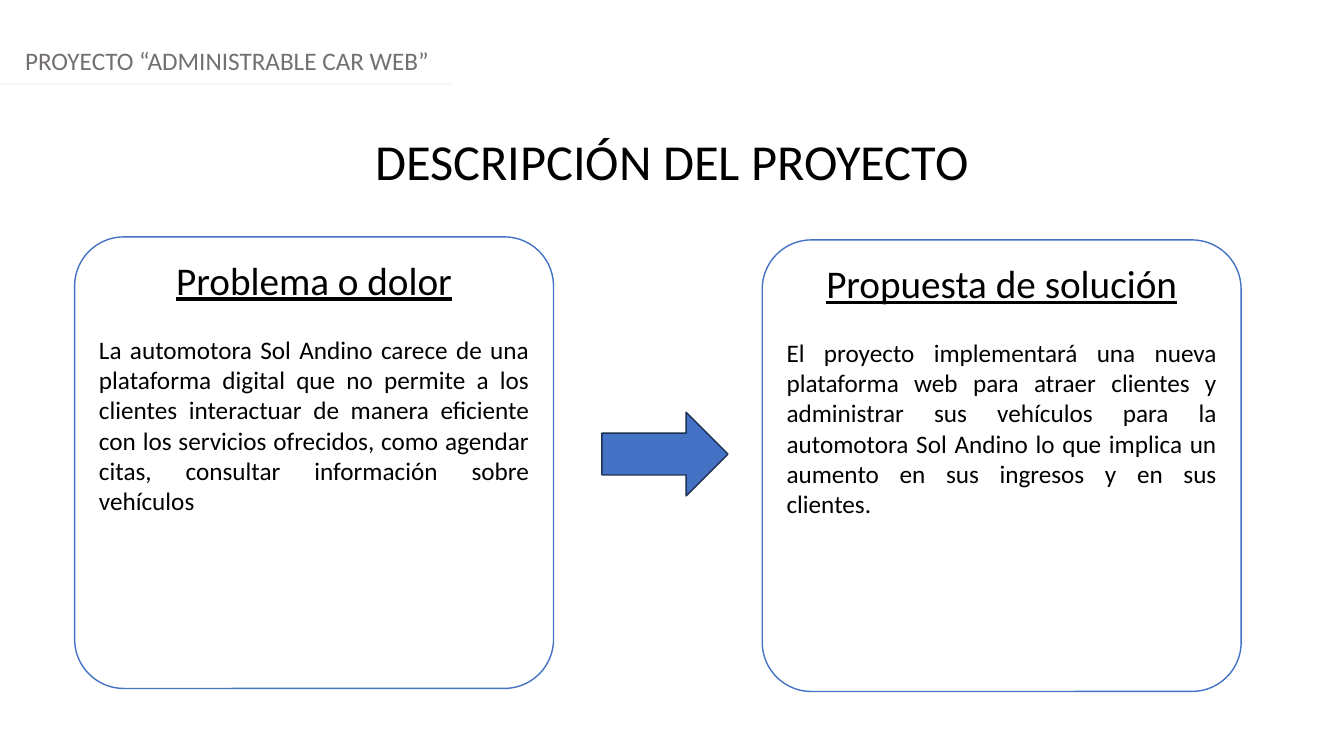
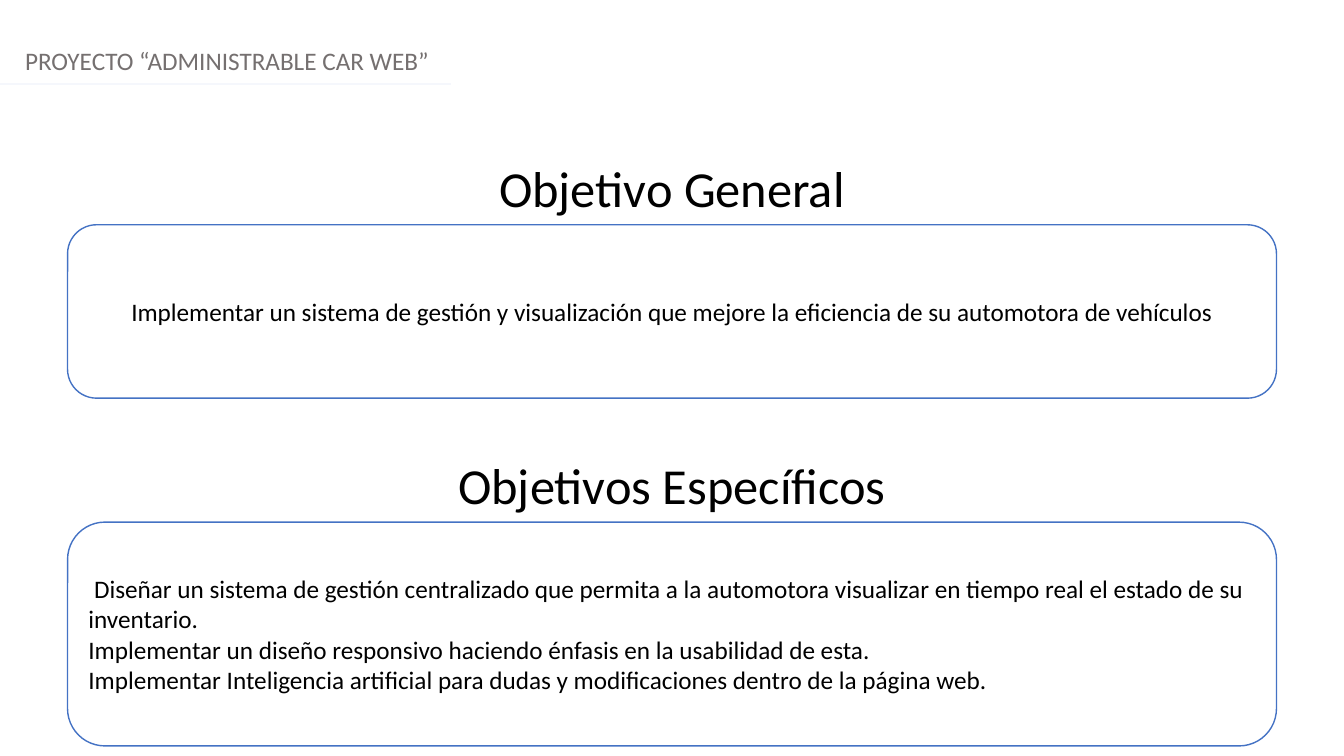
"""Build two project slides: description and objectives."""
from lxml import etree
from pptx import Presentation
from pptx.dml.color import RGBColor
from pptx.enum.shapes import MSO_CONNECTOR, MSO_SHAPE
from pptx.enum.text import MSO_ANCHOR, PP_ALIGN
from pptx.oxml.ns import qn
from pptx.util import Inches, Pt

LEFT, CENTER, JUSTIFY = PP_ALIGN.LEFT, PP_ALIGN.CENTER, PP_ALIGN.JUSTIFY
TOP, MIDDLE = MSO_ANCHOR.TOP, MSO_ANCHOR.MIDDLE
ROUNDED, ARROW = MSO_SHAPE.ROUNDED_RECTANGLE, MSO_SHAPE.RIGHT_ARROW
STRAIGHT = MSO_CONNECTOR.STRAIGHT

THEME = {
    "white": RGBColor.from_string("FFFFFF"),
    "black": RGBColor.from_string("000000"),
    "gray": RGBColor.from_string("757070"),
    "rule": RGBColor.from_string("F5F7FC"),
    "blue": RGBColor.from_string("4472C4"),
    "navy": RGBColor.from_string("1C3052"),
    "header": {"name": "Calibri", "size": Pt(18)},
    "title": {"name": "Calibri", "size": Pt(36)},
    "heading": {"name": "Calibri", "size": Pt(28), "underline": True},
    "body": {"name": "Calibri", "size": Pt(18)},
}

SLIDE_W = 13.33
CARD_W, CARD_H = 4.75, 4.48
PANEL_X, PANEL_W = 0.67, 11.99

SLIDES = [
    {
        "titles": [(1.24, "DESCRIPCIÓN DEL PROYECTO")],
        "boxes": [
            (0.74, 2.35, CARD_W, CARD_H, 0.109, TOP, [
                ("Problema o dolor", "heading", CENTER, 0),
                ("La automotora Sol Andino carece de una plataforma digital que no "
                 "permite a los clientes interactuar de manera eficiente con los "
                 "servicios ofrecidos, como agendar citas, consultar información "
                 "sobre vehículos", "body", JUSTIFY, 22),
            ]),
            (7.56, 2.38, CARD_W, CARD_H, 0.109, TOP, [
                ("Propuesta de solución", "heading", CENTER, 0),
                ("El proyecto implementará una nueva plataforma web para atraer "
                 "clientes y administrar sus vehículos para la automotora Sol "
                 "Andino lo que implica un aumento en sus ingresos y en sus "
                 "clientes.", "body", JUSTIFY, 22),
            ]),
        ],
        "arrows": [(5.97, 4.09, 1.25, 0.83)],
    },
    {
        "titles": [(1.51, "Objetivo General"), (4.46, "Objetivos Específicos")],
        "boxes": [
            (PANEL_X, 2.23, PANEL_W, 1.72, 0.167, MIDDLE, [
                ("Implementar un sistema de gestión y visualización que mejore la "
                 "eficiencia de su automotora de vehículos", "body", CENTER, 0),
            ]),
            (PANEL_X, 5.18, PANEL_W, 2.22, 0.167, MIDDLE, [
                (" Diseñar un sistema de gestión centralizado que permita a la "
                 "automotora visualizar en tiempo real el estado de su inventario.",
                 "body", LEFT, 0),
                ("Implementar un diseño responsivo haciendo énfasis en la "
                 "usabilidad de esta.", "body", LEFT, 0),
                ("Implementar Inteligencia artificial para dudas y modificaciones "
                 "dentro de la página web.", "body", LEFT, 0),
            ]),
        ],
        "arrows": [],
    },
]


def write(sp, paragraphs, color=THEME["black"], anchor=TOP):
    """Fill a shape with (text, style, alignment, space before) paragraphs."""
    tf = sp.text_frame
    tf.word_wrap = True
    tf.vertical_anchor = anchor
    for i, (text, style, align, before) in enumerate(paragraphs):
        p = tf.add_paragraph() if i else tf.paragraphs[0]
        p.alignment = align
        p.space_before = Pt(before)
        r = p.add_run()
        r.text = text
        for key, value in THEME[style].items():
            setattr(r.font, key, value)
        r.font.color.rgb = color


def add_outlined(s, kind, at, fill, line):
    """Add a preset shape with a solid fill and a thin outline."""
    sp = s.shapes.add_shape(kind, *map(Inches, at))
    sp.shadow.inherit = False
    sp.fill.solid()
    sp.fill.fore_color.rgb = fill
    sp.line.color.rgb = line
    sp.line.width = Pt(1)
    return sp


prs = Presentation()
prs.slide_width, prs.slide_height = Inches(SLIDE_W), Inches(7.5)

for content in SLIDES:
    s = prs.slides.add_slide(prs.slide_layouts[6])

    header = s.shapes.add_textbox(Inches(0.15), Inches(0.4), Inches(13), Inches(0.4))
    write(header, [("PROYECTO “ADMINISTRABLE CAR WEB”", "header", LEFT, 0)], THEME["gray"])

    rule = s.shapes.add_connector(STRAIGHT, 0, Inches(0.83), Inches(4.47), Inches(0.83))
    rule.line.color.rgb = THEME["rule"]
    rule.line.width = Pt(1.25)
    etree.SubElement(rule._element.spPr, qn("a:effectLst"))

    for y, text in content["titles"]:
        title = s.shapes.add_textbox(0, Inches(y), Inches(SLIDE_W), Inches(0.71))
        write(title, [(text, "title", CENTER, 0)])

    for *at, radius, anchor, paragraphs in content["boxes"]:
        box = add_outlined(s, ROUNDED, at, THEME["white"], THEME["blue"])
        box.adjustments[0] = radius
        write(box, paragraphs, anchor=anchor)

    for at in content["arrows"]:
        add_outlined(s, ARROW, at, THEME["blue"], THEME["navy"])

prs.save("out.pptx")
